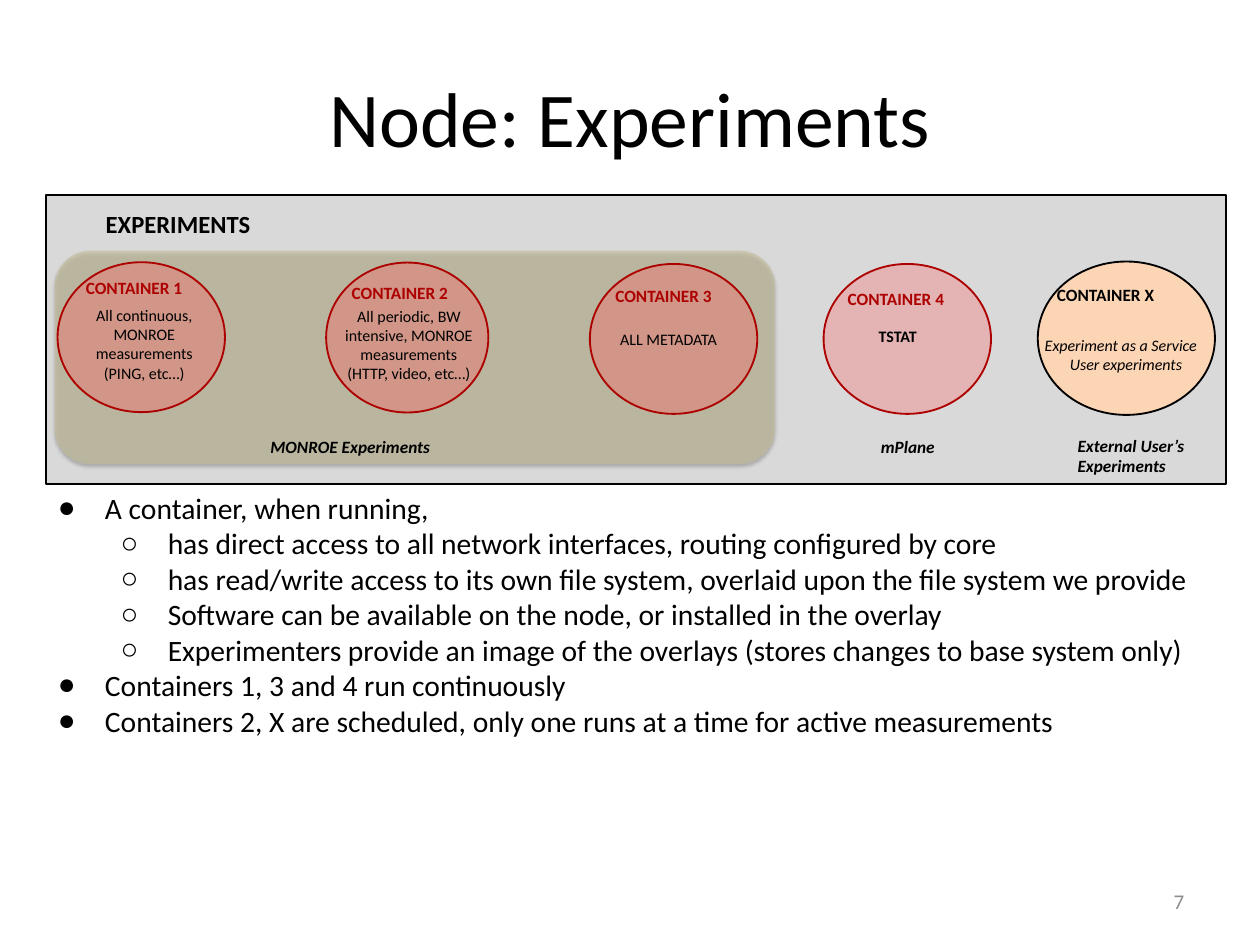
"""Builds the slide about the experiment containers of a node."""
import pptx
import pptx.dml.color
import pptx.enum.shapes
import pptx.enum.text
import pptx.oxml
import pptx.oxml.ns
import pptx.util
from pptx.util import Cm

SHAPE = pptx.enum.shapes.MSO_SHAPE
ALIGN = pptx.enum.text.PP_ALIGN
ANCHOR = pptx.enum.text.MSO_ANCHOR
NS = pptx.oxml.ns.nsdecls("a")
BLACK, RED, ROSE = "000000", "AD0000", "FF5D5F"
WIDE, NARROW = (0.36, 0.18), (0.25, 0.13)

CONTAINERS = [
    dict(box=(0.33, 1.93, 4.8, 4.3), fill=ROSE, alpha=35, color=RED,
         name="CONTAINER 1", name_at=(0.56, 0.31), text_at=(0.43, 1.11, 4.11),
         lines=["All continuous, MONROE measurements", "(PING, etc…)"]),
    dict(box=(8.03, 1.94, 4.65, 4.3), fill=ROSE, alpha=35, color=RED,
         name="CONTAINER 2", name_at=(0.48, 0.43), text_at=(0.12, 1.12, 4.5),
         lines=["All periodic, BW intensive, MONROE measurements",
                "(HTTP, video, etc…)"]),
    dict(box=(15.59, 1.98, 4.8, 4.3), fill=ROSE, alpha=35, color=RED,
         name="CONTAINER 3", name_at=(0.48, 0.48), text_at=(0.2, 1.76, 4.11),
         lines=["ALL METADATA"]),
    dict(box=(22.29, 1.98, 4.8, 4.3), fill=ROSE, alpha=30, color=RED,
         name="CONTAINER 4", name_at=(0.44, 0.56), text_at=(0.78, 1.66, 2.69),
         lines=["TSTAT"], font=dict(bold=True)),
    dict(box=(28.43, 1.91, 5.08, 4.4), fill="FCD5B5", alpha=100, color=BLACK,
         name="CONTAINER X", name_at=(0.3, 0.53), text_at=(-0.05, 1.99, 6.25),
         lines=["Experiment as a Service", "User experiments"],
         font=dict(italic=True), align=ALIGN.LEFT, indents=(0, 0.72)),
]
CAPTIONS = [
    ("MONROE Experiments", (6.07, 6.75, 7.75, 0.97)),
    ("mPlane", (23.57, 6.75, 2.6, 0.97)),
    ("External User’s Experiments", (29.21, 6.7, 4.32, 1.57)),
]
POINTS = [
    (0, "A container, when running,"),
    (1, "has direct access to all network interfaces, routing configured by core"),
    (1, "has read/write access to its own file system, overlaid upon the file system we provide"),
    (1, "Software can be available on the node, or installed in the overlay"),
    (1, "Experimenters provide an image of the overlays (stores changes to base system only)"),
    (0, "Containers 1, 3 and 4 run continuously"),
    (0, "Containers 2, X are scheduled, only one runs at a time for active measurements"),
]


def rgb(value):
    """Return the colour for a hex string."""
    return pptx.dml.color.RGBColor.from_string(value)


def style(font, size, color=BLACK, **values):
    """Apply size, colour and further attributes to a font."""
    values = dict(name="Calibri", size=pptx.util.Pt(size), **values)
    for key, value in values.items():
        setattr(font, key, value)
    font.color.rgb = rgb(color)


def set_frame(tf, inset, anchor=ANCHOR.TOP):
    """Set wrapping, insets and anchor of a text frame."""
    x, y = map(Cm, inset)
    values = dict(word_wrap=True, margin_left=x, margin_right=x, margin_top=y,
                  margin_bottom=y, vertical_anchor=anchor)
    for key, value in values.items():
        setattr(tf, key, value)


def set_indent(p, left, first=0):
    """Set left margin and first-line indent in centimetres."""
    pPr = p._p.get_or_add_pPr()
    pPr.set("marL", str(Cm(left)))
    pPr.set("indent", str(Cm(first)))
    return pPr


def add_text(s, box, lines, size, color=BLACK, align=ALIGN.LEFT, inset=WIDE,
             anchor=ANCHOR.TOP, **font):
    """Add a text box with one paragraph per line and return its frame."""
    tf = s.shapes.add_textbox(*map(Cm, box)).text_frame
    set_frame(tf, inset, anchor)
    for i, line in enumerate(lines):
        p = tf.paragraphs[0] if i == 0 else tf.add_paragraph()
        p.alignment = align
        r = p.add_run()
        r.text = line
        style(r.font, size, color, **font)
    return tf


def add_area(s, kind, box, fill, alpha=100, line=None, width=1.5):
    """Add a filled shape with an optional outline and transparency."""
    sp = s.shapes.add_shape(kind, *map(Cm, box))
    sp.shadow.inherit = False
    sp.fill.solid()
    sp.fill.fore_color.rgb = rgb(fill)
    if alpha < 100:
        clr = sp._element.spPr.find(".//" + pptx.oxml.ns.qn("a:srgbClr"))
        clr.append(pptx.oxml.parse_xml(f'<a:alpha {NS} val="{alpha * 1000}"/>'))
    if line:
        sp.line.color.rgb = rgb(line)
        sp.line.width = pptx.util.Pt(width)
    else:
        sp.line.fill.background()
    return sp


def add_title(s, box):
    """Place and format the title."""
    sp = s.shapes.title
    sp.left, sp.top, sp.width, sp.height = map(Cm, box)
    tf = sp.text_frame
    tf.text = "Node: Experiments"
    set_frame(tf, WIDE, ANCHOR.MIDDLE)
    tf.paragraphs[0].alignment = ALIGN.CENTER
    style(tf.paragraphs[0].runs[0].font, 63)


def add_container(s, box, fill, alpha, color, name, name_at, text_at, lines,
                  font=None, align=ALIGN.CENTER, indents=()):
    """Draw one container circle with its name and description."""
    x, y, w, h = box
    add_area(s, SHAPE.OVAL, box, fill, alpha, color)
    dx, dy = name_at
    add_text(s, (x + dx, y + dy, 4.11, 0.86), [name], 14, color,
             inset=NARROW, bold=True)
    dx, dy, text_w = text_at
    tf = add_text(s, (x + dx, y + dy, text_w, h - dy), lines, 13,
                  align=align, inset=NARROW, **(font or {}))
    for p, left in zip(tf.paragraphs, indents):
        set_indent(p, left)


def add_experiments(s, box):
    """Draw the experiments panel with its containers and captions."""
    x, y, w, h = box
    add_area(s, SHAPE.RECTANGLE, box, "D9D9D9", line=BLACK, width=1.75)
    add_text(s, (x + 1.35, y + 0.23, 5.03, 1.2), ["EXPERIMENTS"], 20, bold=True)
    sp = add_area(s, SHAPE.ROUNDED_RECTANGLE,
                  (x + 0.25, y + 1.6, 20.65, 6.12), "C4BD97", 59)
    sp._element.spPr.find(pptx.oxml.ns.qn("a:effectLst")).append(pptx.oxml.parse_xml(
        f'<a:outerShdw {NS} blurRad="40000" dist="23000" dir="5400000" rotWithShape="0">'
        '<a:srgbClr val="000000"><a:alpha val="35000"/></a:srgbClr></a:outerShdw>'))
    for container in CONTAINERS:
        dx, dy, cw, ch = container["box"]
        add_container(s, **{**container, "box": (x + dx, y + dy, cw, ch)})
    for caption, (dx, dy, cw, ch) in CAPTIONS:
        add_text(s, (x + dx, y + dy, cw, ch), [caption], 14, bold=True, italic=True)


def add_points(s, box):
    """Add the two-level bullet list."""
    tf = add_text(s, box, [text for level, text in POINTS], 24)
    for p, (level, text) in zip(tf.paragraphs, POINTS):
        p.level = level
        pPr = set_indent(p, 1.8 * (level + 1), -1.35)
        for xml in (f'<a:buClr {NS}><a:srgbClr val="{BLACK}"/></a:buClr>',
                    f'<a:buFont {NS} typeface="Arial"/>',
                    f'<a:buChar {NS} char="{"●○"[level]}"/>'):
            pPr.append(pptx.oxml.parse_xml(xml))


def main():
    """Build and save the presentation."""
    prs = pptx.Presentation()
    prs.slide_width, prs.slide_height = Cm(36.12), Cm(27.1)
    s = prs.slides.add_slide(prs.slide_layouts[5])
    add_title(s, (1.8, 1.09, 32.51, 4.52))
    add_experiments(s, (1.32, 5.59, 33.83, 8.28))
    add_points(s, (0.85, 13.87, 35.27, 12.6))
    add_text(s, (25.88, 25.12, 8.43, 1.45), ["7"], 17, "8C8C8C",
             ALIGN.RIGHT, anchor=ANCHOR.MIDDLE)
    prs.save("out.pptx")


if __name__ == "__main__":
    main()
